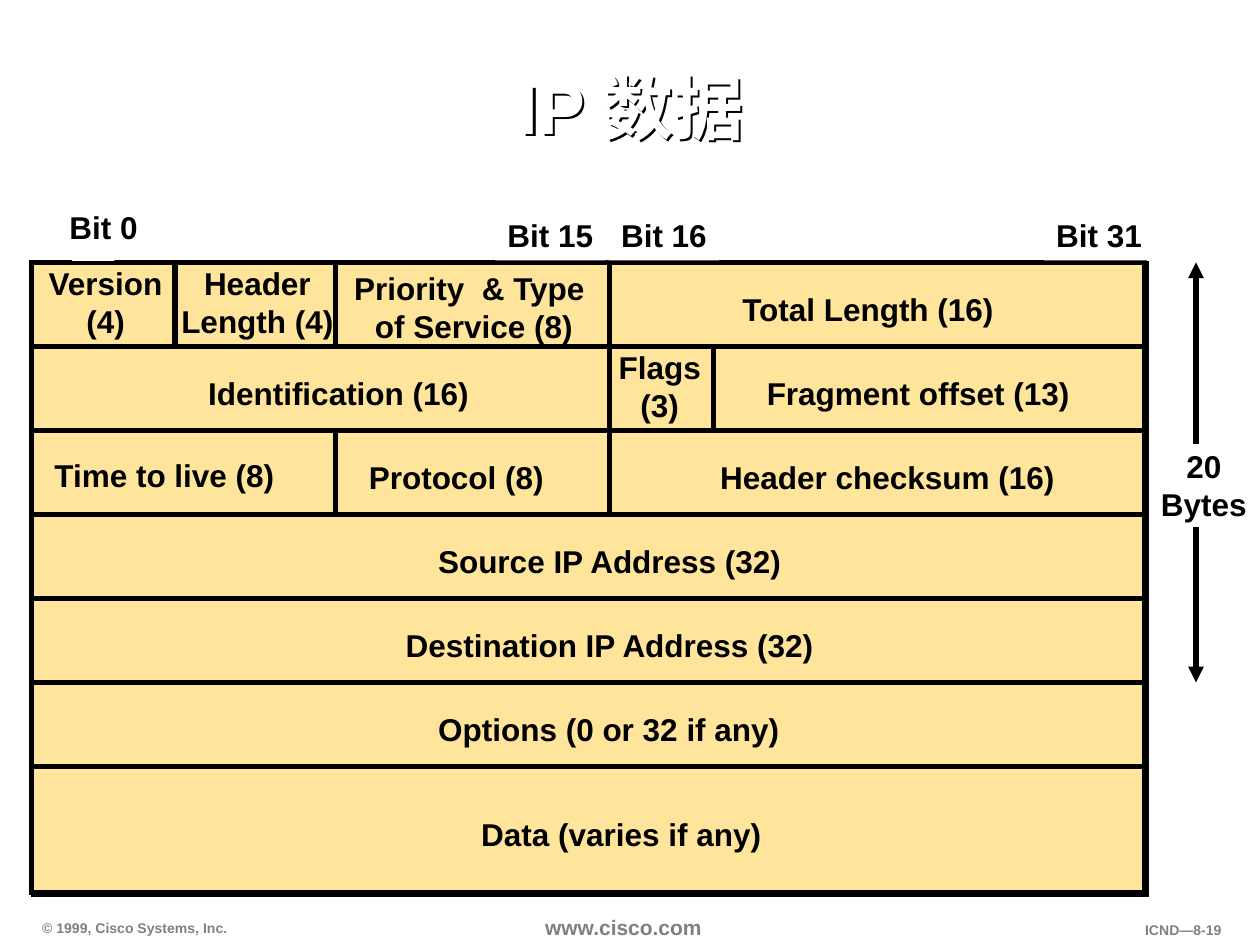
from dataclasses import dataclass
from typing import Optional

from lxml import etree
from pptx import Presentation
from pptx import util as u
from pptx.dml.color import RGBColor
from pptx.enum import shapes, text
from pptx.oxml import ns

BLACK = RGBColor(0x00, 0x00, 0x00)
WHITE = RGBColor(0xFF, 0xFF, 0xFF)
GREY = RGBColor(0x80, 0x80, 0x80)
SAND = RGBColor(0xFF, 0xE5, 0x9B)

LEFT, TOP, WIDTH, HEIGHT = 0.64, 5.29, 22.43, 12.7
RIGHT = LEFT + WIDTH
ROW = HEIGHT / 7.5
AFTER_VERSION, AFTER_HEADER, MIDDLE, AFTER_FLAGS = 3.53, 6.77, 12.28, 14.39
ONE_LINE, TWO_LINES = 1.02, 1.78


@dataclass(frozen=True)
class Label:
    text: str
    left: float
    top: float
    width: float
    height: float = ONE_LINE
    size: float = 18
    color: RGBColor = BLACK
    align: text.PP_ALIGN = text.PP_ALIGN.CENTER
    anchor: text.MSO_ANCHOR = text.MSO_ANCHOR.MIDDLE
    wrap: bool = False
    spacing: float = 1.0
    fill: Optional[RGBColor] = None


@dataclass(frozen=True)
class Divider:
    x: float
    row: int


def row_top(row: int) -> float:
    return TOP + row * ROW


def field(caption: str, row: int, left: float, width: float, drop: float = 0.42) -> Label:
    height = TWO_LINES if "\v" in caption else ONE_LINE
    return Label(caption, left, row_top(row) + drop, width, height)


def bit(number: int, left: float, width: float = 2.23, top: float = 4.23) -> Label:
    return Label(f"Bit {number}", left, top, width, fill=WHITE)


def add_shadow(shape, distance: float) -> None:
    shape.shadow.inherit = False
    effects = shape.element.spPr.find(ns.qn("a:effectLst"))
    shadow = etree.SubElement(effects, ns.qn("a:outerShdw"),
                              dist=str(u.Pt(distance)), dir="2700000", algn="tl")
    etree.SubElement(shadow, ns.qn("a:srgbClr"), val=str(BLACK))


def add_block(slide, left: float, top: float, width: float, height: float,
              fill: RGBColor, line: Optional[RGBColor] = None):
    block = slide.shapes.add_shape(shapes.MSO_SHAPE.RECTANGLE,
                                   u.Cm(left), u.Cm(top), u.Cm(width), u.Cm(height))
    block.shadow.inherit = False
    block.fill.solid()
    block.fill.fore_color.rgb = fill
    if line is None:
        block.line.fill.background()
    else:
        block.line.color.rgb = line
        block.line.width = u.Pt(3)
        outline = block.element.spPr.find(ns.qn("a:ln"))
        etree.SubElement(outline, ns.qn("a:miter"), lim="800000")
    return block


def add_line(slide, x1: float, y1: float, x2: float, y2: float):
    line = slide.shapes.add_connector(shapes.MSO_CONNECTOR.STRAIGHT,
                                      u.Cm(x1), u.Cm(y1), u.Cm(x2), u.Cm(y2))
    line.line.color.rgb = BLACK
    line.line.width = u.Pt(3)
    etree.SubElement(line.element.spPr, ns.qn("a:effectLst"))
    return line


def add_label(slide, label: Label):
    box = slide.shapes.add_textbox(u.Cm(label.left), u.Cm(label.top),
                                   u.Cm(label.width), u.Cm(label.height))
    if label.fill is not None:
        box.fill.solid()
        box.fill.fore_color.rgb = label.fill
    frame = box.text_frame
    frame.text = label.text
    paragraph = frame.paragraphs[0]
    formats = {
        frame: {"word_wrap": label.wrap, "vertical_anchor": label.anchor},
        paragraph: {"alignment": label.align, "line_spacing": label.spacing},
    }
    for target, values in formats.items():
        for name, value in values.items():
            setattr(target, name, value)
    for run in paragraph.runs:
        for name, value in {"name": "Arial", "size": u.Pt(label.size), "bold": True}.items():
            setattr(run.font, name, value)
        run.font.color.rgb = label.color
    return box


FOOTERS = [
    Label("© 1999, Cisco Systems, Inc.", 0.6, 18.42, 4.27, 0.56, 8, GREY, text.PP_ALIGN.LEFT),
    Label("www.cisco.com", 10.74, 18.34, 3.9, 0.71, 12, GREY, text.PP_ALIGN.LEFT, wrap=True),
    Label("ICND—8-19", 21.83, 18.47, 3.05, 0.56, 8, GREY, text.PP_ALIGN.RIGHT),
]
TITLE = Label("IP 数据", 2.13, 0.66, 21.18, 3.18, 40, WHITE, wrap=True, spacing=0.9)
BITS = [bit(0, 1.15, 1.88, 4.06), bit(15, 9.98), bit(16, 12.27), bit(31, 21.04)]
DIVIDERS = [
    Divider(AFTER_VERSION, 0), Divider(AFTER_HEADER, 0), Divider(MIDDLE, 0),
    Divider(MIDDLE, 1), Divider(AFTER_FLAGS, 1),
    Divider(AFTER_HEADER, 2), Divider(MIDDLE, 2),
]
FIELDS = [
    field("Version\v(4)", 0, 0.72, 2.82, -0.09),
    field("Header\vLength (4)", 0, 3.4, 3.58, -0.09),
    field("Priority  & Type\v of Service (8)", 0, 6.86, 5.21, 0),
    field("Total Length (16)", 0, 14.6, 5.8),
    field("Identification (16)", 1, 3.84, 5.97),
    field("Flags\v(3)", 1, 12.22, 2.16, -0.09),
    field("Fragment offset (13)", 1, 15.06, 6.9),
    field("Time to live (8)", 2, 0.74, 5.15, 0.38),
    field("Protocol (8)", 2, 7.09, 4.22),
    field("Header checksum (16)", 2, 14.12, 7.54),
    field("Source IP Address (32)", 3, 8.47, 7.64),
    field("Destination IP Address (32)", 4, 7.81, 8.96),
    field("Options (0 or 32 if any)", 5, 8.48, 7.59),
    field("Data (varies if any)", 6, 9.35, 6.35, 0.86),
]
HEADER_SIZE = Label("20\vBytes", 23.15, 8.89, 2.24, TWO_LINES)


def main() -> None:
    deck = Presentation()
    deck.slide_width, deck.slide_height = u.Cm(25.4), u.Cm(19.05)
    slide = deck.slides.add_slide(deck.slide_layouts[6])

    for footer in FOOTERS:
        add_label(slide, footer)
    title = add_label(slide, TITLE)
    add_shadow(title, 2)
    datagram = add_block(slide, LEFT, TOP, WIDTH, HEIGHT, SAND, BLACK)
    add_shadow(datagram, 1.4)

    for row in range(1, 7):
        add_line(slide, LEFT, row_top(row), RIGHT, row_top(row))
    header_span = add_line(slide, 24.11, TOP, 24.11, row_top(5))
    outline = header_span.element.spPr.find(ns.qn("a:ln"))
    for end in ("a:headEnd", "a:tailEnd"):
        etree.SubElement(outline, ns.qn(end), type="triangle")

    add_block(slide, 1.45, 4.24, 0.86, ONE_LINE, WHITE)
    for marker in BITS:
        add_label(slide, marker)
    for divider in DIVIDERS:
        add_line(slide, divider.x, row_top(divider.row), divider.x, row_top(divider.row + 1))
    for caption in FIELDS:
        add_label(slide, caption)

    add_block(slide, 23.93, 9.0, 0.46, 1.57, WHITE, WHITE)
    add_label(slide, HEADER_SIZE)
    deck.save("out.pptx")


if __name__ == "__main__":
    main()
